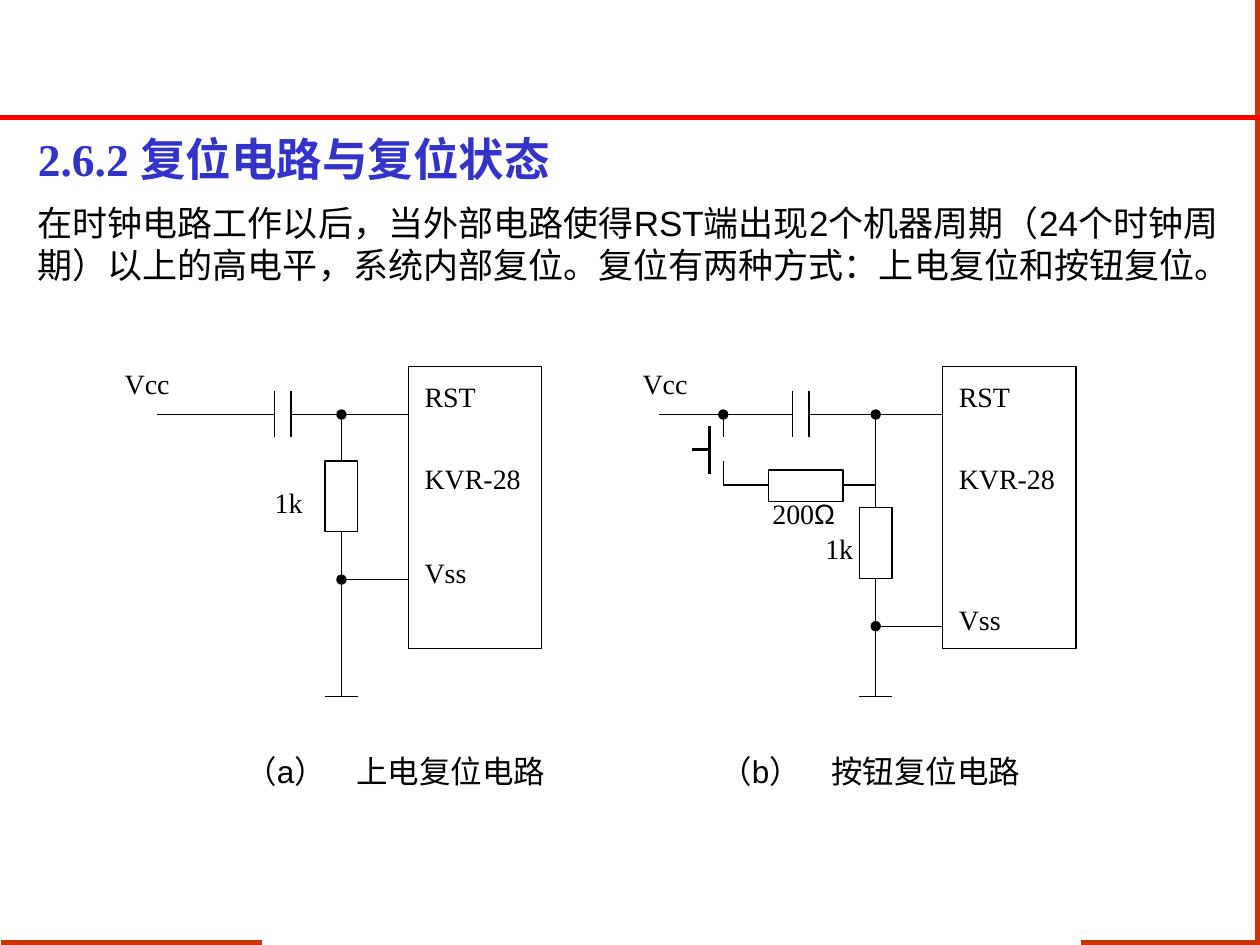
"""Build the slide on reset circuits: power-on reset and push-button reset."""
from dataclasses import dataclass

from lxml import etree
from pptx import Presentation
from pptx.dml.color import RGBColor
from pptx.enum.shapes import MSO_CONNECTOR, MSO_SHAPE
from pptx.enum.text import MSO_ANCHOR, PP_ALIGN
from pptx.oxml.ns import qn
from pptx.util import Inches, Pt

STRAIGHT = MSO_CONNECTOR.STRAIGHT
RECTANGLE = MSO_SHAPE.RECTANGLE
TOP, MIDDLE = MSO_ANCHOR.TOP, MSO_ANCHOR.MIDDLE
LEFT = PP_ALIGN.LEFT


@dataclass(frozen=True)
class Theme:
    black: RGBColor = RGBColor(0x00, 0x00, 0x00)
    white: RGBColor = RGBColor(0xFF, 0xFF, 0xFF)
    heading: RGBColor = RGBColor(0x33, 0x33, 0xCC)
    frame: RGBColor = RGBColor(0xCC, 0x33, 0x00)
    rule: RGBColor = RGBColor(0xFF, 0x00, 0x00)
    serif: str = "Times New Roman"
    sans: str = "Arial"
    heading_size: int = 26
    body_size: int = 20
    caption_size: int = 18
    label_size: int = 16
    wire: float = 0.75
    button: float = 1.5
    border: float = 3


theme = Theme()
prs = Presentation()
prs.slide_width, prs.slide_height = Inches(10), Inches(7.5)
slide = prs.slides.add_slide(prs.slide_layouts[5])


def add_line(x1, y1, x2, y2, color=theme.black, width=theme.wire, dot=False):
    line = slide.shapes.add_connector(STRAIGHT, Inches(x1), Inches(y1), Inches(x2), Inches(y2))
    line.line.color.rgb = color
    line.line.width = Pt(width)
    if dot:
        etree.SubElement(line.line._get_or_add_ln(), qn("a:headEnd"), type="oval")
    etree.SubElement(line._element.spPr, qn("a:effectLst"))


def add_text(text, x, y, w, h, font=theme.serif, size=theme.label_size, inset=0, anchor=TOP):
    frame = slide.shapes.add_textbox(Inches(x), Inches(y), Inches(w), Inches(h)).text_frame
    frame.word_wrap = True
    frame.vertical_anchor = anchor
    frame.margin_left = frame.margin_right = Inches(inset)
    frame.margin_top = frame.margin_bottom = Inches(inset / 2)
    frame.text = text
    paragraph = frame.paragraphs[0]
    for run in paragraph.runs:
        run.font.name, run.font.size = font, Pt(size)
        run.font.color.rgb = theme.black
    return paragraph


for x1, y1, x2, y2, color in [
    (2.08, 7.48, 0.01, 7.48, theme.frame),
    (9.98, 7.5, 9.98, 0, theme.frame),
    (9.96, 7.48, 8.58, 7.48, theme.frame),
    (10, 0.93, 0, 0.93, theme.rule),
]:
    add_line(x1, y1, x2, y2, color, theme.border)

heading = slide.shapes.title
heading.left, heading.top = Inches(0.2), Inches(0.98)
heading.width, heading.height = Inches(9.61), Inches(0.56)
heading.text_frame.text = "2.6.2 复位电路与复位状态"
heading.text_frame.vertical_anchor = MIDDLE
heading_line = heading.text_frame.paragraphs[0]
heading_line.alignment = LEFT
heading_font = heading_line.runs[0].font
heading_font.name, heading_font.size = theme.serif, Pt(theme.heading_size)
heading_font.bold = True
heading_font.color.rgb = theme.heading

add_text(
    "在时钟电路工作以后，当外部电路使得RST端出现2个机器周期（24个时钟周期）以上的高电平，"
    "系统内部复位。复位有两种方式：上电复位和按钮复位。",
    0.2, 1.38, 9.61, 1.1, theme.sans, theme.body_size, 0.1, MIDDLE,
)

supply_y, ground_y = 3.29, 5.53
resistor_w, resistor_h = 0.26, 0.56
outlines = [(6.1, 3.73, 0.59, 0.25)]
labels = []
for chip_x, plate_x, supply_x, vcc_x, resistor_y, vss_y, ohm_x in [
    (3.24, 2.18, 1.25, 0.99, 3.66, 4.6, 2.18),
    (7.48, 6.29, 5.23, 5.1, 4.03, 4.97, 6.55),
]:
    node_x = chip_x - 0.53
    pin_x = chip_x + 0.13
    right_plate_x = plate_x + 0.13
    resistor_x = node_x - resistor_w / 2
    outlines += [(chip_x, 2.91, 1.06, 2.24), (resistor_x, resistor_y, resistor_w, resistor_h)]
    labels += [
        ("Vcc", vcc_x, 2.91),
        ("1k", ohm_x, resistor_y + 0.19),
        ("RST", pin_x, 3.01),
        ("KVR-28", pin_x, 3.66),
        ("Vss", pin_x, vss_y - 0.19),
    ]

    add_line(chip_x, supply_y, right_plate_x, supply_y)
    for x in (plate_x, right_plate_x):
        add_line(x, 3.1, x, 3.47)
    add_line(plate_x, supply_y, supply_x, supply_y)
    add_line(node_x, supply_y, node_x, resistor_y, dot=True)
    add_line(node_x, resistor_y + resistor_h, node_x, ground_y)
    add_line(resistor_x, ground_y, resistor_x + resistor_w, ground_y)
    add_line(node_x, vss_y, chip_x, vss_y, dot=True)

switch_x, branch_y = 5.74, 3.85
add_line(6.95, branch_y, 6.69, branch_y)
add_line(6.1, branch_y, switch_x, branch_y)
add_line(switch_x, supply_y, switch_x, 3.47, dot=True)
add_line(switch_x, branch_y, switch_x, 3.66)
add_line(5.63, 3.38, 5.63, 3.76, width=theme.button)
add_line(5.63, 3.57, 5.49, 3.57, width=theme.button)

for outline in outlines:
    part = slide.shapes.add_shape(RECTANGLE, *map(Inches, outline))
    part.shadow.inherit = False
    part.fill.solid()
    part.fill.fore_color.rgb = theme.white
    part.line.color.rgb = theme.black
    part.line.width = Pt(theme.wire)

for label, x, y in labels:
    add_text(label, x, y, 0.93, 0.37)

branch_label = add_text("200", 6.13, 3.94, 0.66, 0.37)
ohm = branch_label.add_run()
ohm.text = "Ω"
ohm.font.name, ohm.font.size = theme.sans, Pt(theme.label_size)
ohm.font.color.rgb = theme.black

for caption, x in [("（a）\t上电复位电路", 1.85), ("（b）\t按钮复位电路", 5.62)]:
    line = add_text(caption, x, 5.88, 2.9, 0.47, theme.sans, theme.caption_size, 0.1, MIDDLE)
    tabs = etree.SubElement(line._p.get_or_add_pPr(), qn("a:tabLst"))
    etree.SubElement(tabs, qn("a:tab"), pos=str(Inches(0.88)), algn="l")

prs.save("out.pptx")
